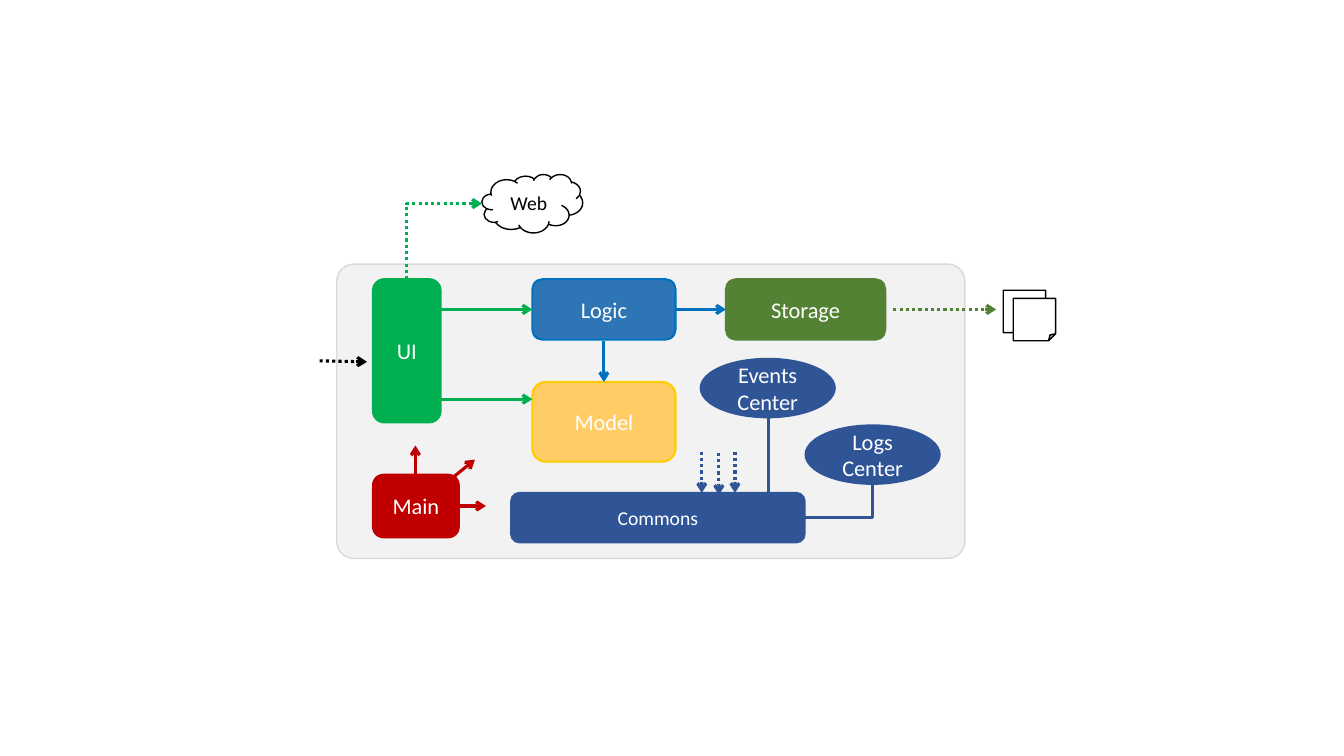
from pptx import Presentation
from pptx.dml.color import RGBColor
from pptx.enum.dml import MSO_LINE
from pptx.enum.shapes import MSO_CONNECTOR, MSO_SHAPE
from pptx.enum.text import MSO_ANCHOR, PP_ALIGN
from pptx.oxml.ns import qn
from pptx.util import Inches, Pt
from lxml import etree

ROUNDED = MSO_SHAPE.ROUNDED_RECTANGLE
OVAL = MSO_SHAPE.OVAL
CLOUD = MSO_SHAPE.CLOUD
FOLDED = MSO_SHAPE.FOLDED_CORNER
STRAIGHT = MSO_CONNECTOR.STRAIGHT
ELBOW = MSO_CONNECTOR.ELBOW
DOTTED = MSO_LINE.ROUND_DOT
CENTER = PP_ALIGN.CENTER
MIDDLE = MSO_ANCHOR.MIDDLE

WHITE = RGBColor(0xFF, 0xFF, 0xFF)
BLACK = RGBColor(0x00, 0x00, 0x00)
PANEL = RGBColor(0xF2, 0xF2, 0xF2)
PANEL_EDGE = RGBColor(0xD9, 0xD9, 0xD9)
GREEN = RGBColor(0x00, 0xB0, 0x50)
BLUE = RGBColor(0x2E, 0x75, 0xB6)
BRIGHT_BLUE = RGBColor(0x00, 0x70, 0xC0)
OLIVE = RGBColor(0x54, 0x82, 0x35)
SAND = RGBColor(0xFF, 0xCC, 0x66)
YELLOW = RGBColor(0xFF, 0xCC, 0x00)
NAVY = RGBColor(0x2F, 0x55, 0x97)
RED = RGBColor(0xC0, 0x00, 0x00)

presentation = Presentation()
presentation.slide_width = Inches(13.33)
presentation.slide_height = Inches(7.5)
slide = presentation.slides.add_slide(presentation.slide_layouts[6])


def add_node(text, kind, box, *, fill, edge, width=1.5, size=16, color=WHITE):
    shape = slide.shapes.add_shape(kind, *[Inches(value) for value in box])
    shape.shadow.inherit = False
    shape.fill.solid()
    shape.fill.fore_color.rgb = fill
    shape.line.color.rgb = edge
    shape.line.width = Pt(width)
    if text:
        shape.text_frame.word_wrap = True
        shape.text_frame.vertical_anchor = MIDDLE
        paragraph = shape.text_frame.paragraphs[0]
        paragraph.text = text
        paragraph.alignment = CENTER
        for run in paragraph.runs:
            run.font.name = "Calibri"
            run.font.size = Pt(size)
            run.font.color.rgb = color
    return shape


def add_link(points, color, *, dotted=False, arrow=True, kind=STRAIGHT):
    connector = slide.shapes.add_connector(kind, *[Inches(value) for value in points])
    connector.line.color.rgb = color
    connector.line.width = Pt(2.25)
    if dotted:
        connector.line.dash_style = DOTTED
    properties = connector._element.spPr
    if arrow:
        line = properties.find(qn("a:ln"))
        etree.SubElement(line, qn("a:tailEnd"), type="arrow")
    etree.SubElement(properties, qn("a:effectLst"))
    if kind == ELBOW:
        # One right-angle bend, turned a quarter so it leaves vertically
        properties.find(qn("a:prstGeom")).set("prst", "bentConnector2")
        properties.find(qn("a:xfrm")).set("rot", "5400000")


# Application panel
panel = add_node("", ROUNDED, (3.34, 2.62, 6.23, 2.92), fill=PANEL, edge=PANEL_EDGE, width=1)
panel.adjustments[0] = 0.058

# Components
components = [
    ("UI", ROUNDED, (3.7, 2.77, 0.67, 1.42), GREEN, GREEN, 16),
    ("Logic", ROUNDED, (5.28, 2.77, 1.42, 0.6), BLUE, BRIGHT_BLUE, 16),
    ("Storage", ROUNDED, (7.2, 2.77, 1.58, 0.6), OLIVE, OLIVE, 16),
    ("Model", ROUNDED, (5.28, 3.79, 1.42, 0.79), SAND, YELLOW, 16),
    ("Commons", ROUNDED, (5.07, 4.89, 2.91, 0.49), NAVY, NAVY, 14),
    ("Main", ROUNDED, (3.7, 4.71, 0.85, 0.62), RED, RED, 16),
    ("Events Center", OVAL, (6.95, 3.56, 1.33, 0.58), NAVY, NAVY, 16),
    ("Logs\vCenter", OVAL, (7.99, 4.22, 1.33, 0.58), NAVY, NAVY, 16),
]
for text, kind, box, fill, edge, size in components:
    add_node(text, kind, box, fill=fill, edge=edge, size=size)

# Outside the application: web and stored files
add_node("Web", CLOUD, (4.78, 1.73, 1, 0.58), fill=WHITE, edge=BLACK, width=1,
         size=14, color=BLACK)
for left, top in [(9.95, 2.88), (10.05, 2.96)]:
    add_node("", FOLDED, (left, top, 0.42, 0.42), fill=WHITE, edge=BLACK, width=1)

# Solid arrows between components
for points, color in [
    ((4.37, 3.07, 5.28, 3.07), GREEN),
    ((4.37, 3.96, 5.28, 3.96), GREEN),
    ((5.99, 3.38, 5.99, 3.79), BRIGHT_BLUE),
    ((6.7, 3.07, 7.2, 3.07), BRIGHT_BLUE),
    ((4.55, 5.02, 4.82, 5.02), RED),
    ((4.39, 4.82, 4.71, 4.56), RED),
    ((4.12, 4.75, 4.12, 4.42), RED),
]:
    add_link(points, color)

# Dotted arrows: user input, file storage, use of Commons
for points, color in [
    ((3.17, 3.58, 3.64, 3.59), BLACK),
    ((8.86, 3.07, 9.88, 3.07), OLIVE),
    ((6.96, 4.48, 6.96, 4.89), NAVY),
    ((7.13, 4.49, 7.13, 4.91), NAVY),
    ((7.29, 4.48, 7.29, 4.89), NAVY),
]:
    add_link(points, color, dotted=True)

# UI to web, and the two centers to Commons
add_link((4.78, 2.77, 4.03, 2.02), GREEN, dotted=True, kind=ELBOW)
add_link((8.15, 4.63, 8.48, 5.31), NAVY, arrow=False, kind=ELBOW)
add_link((7.62, 4.14, 7.62, 4.91), NAVY, arrow=False)

presentation.save("out.pptx")
